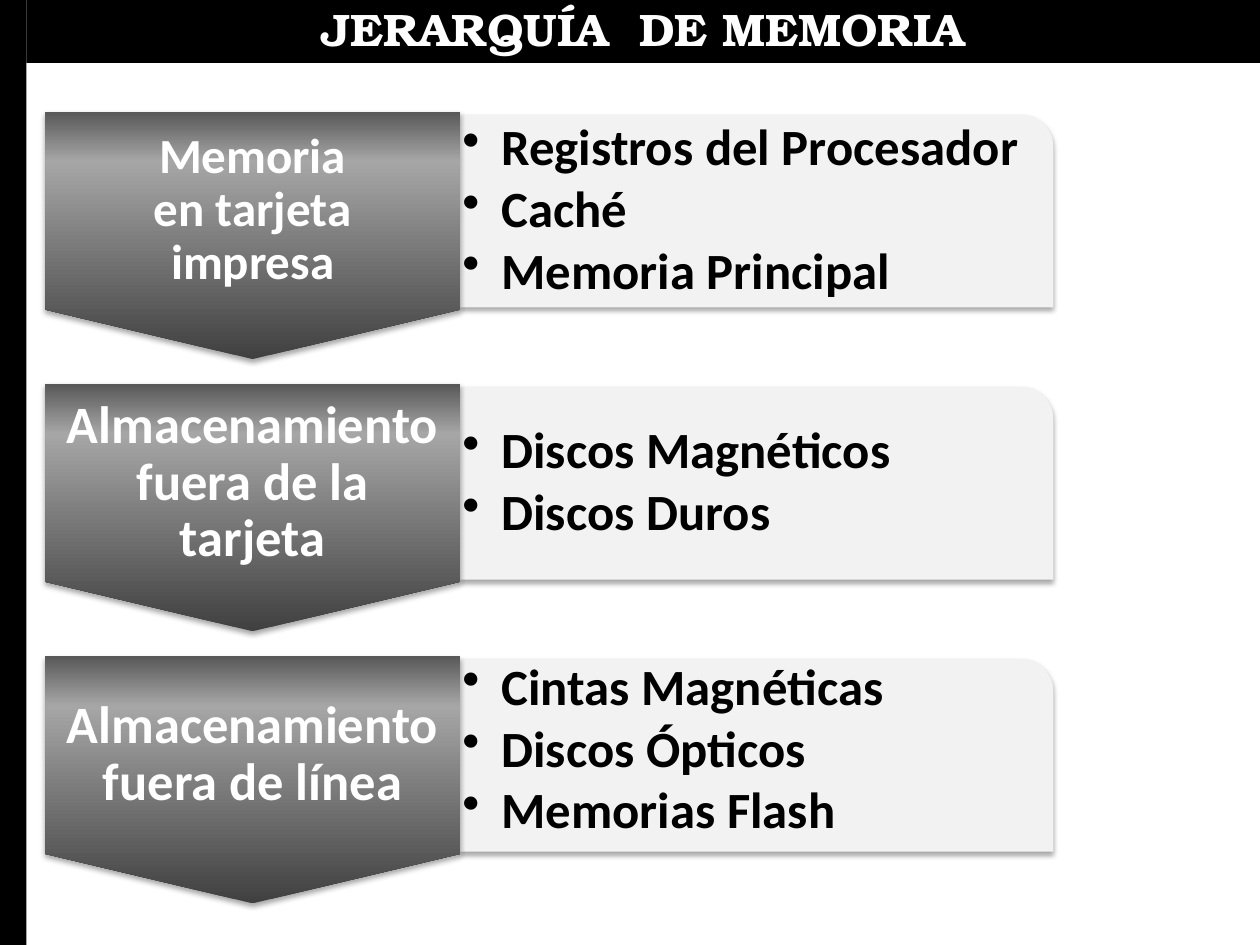
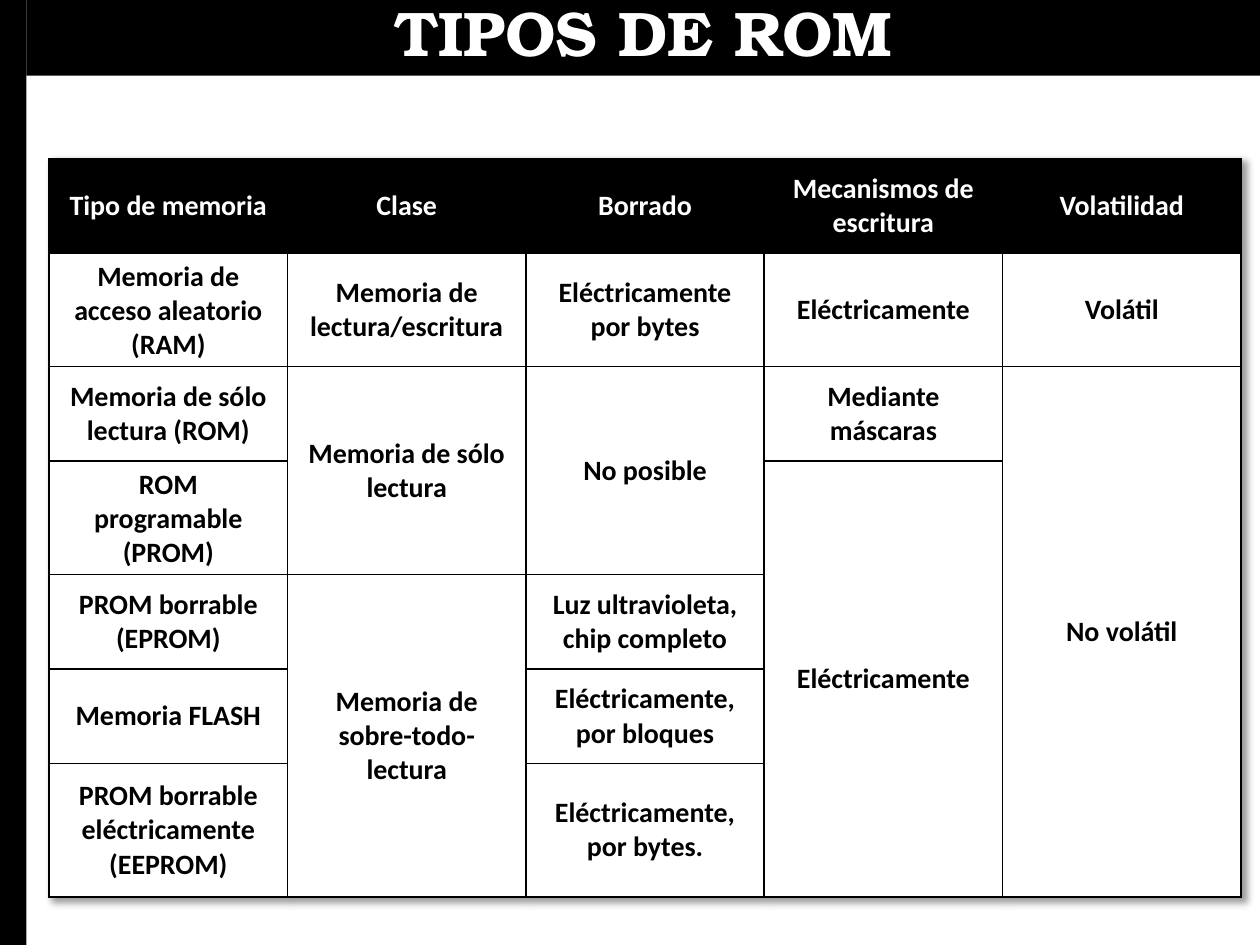
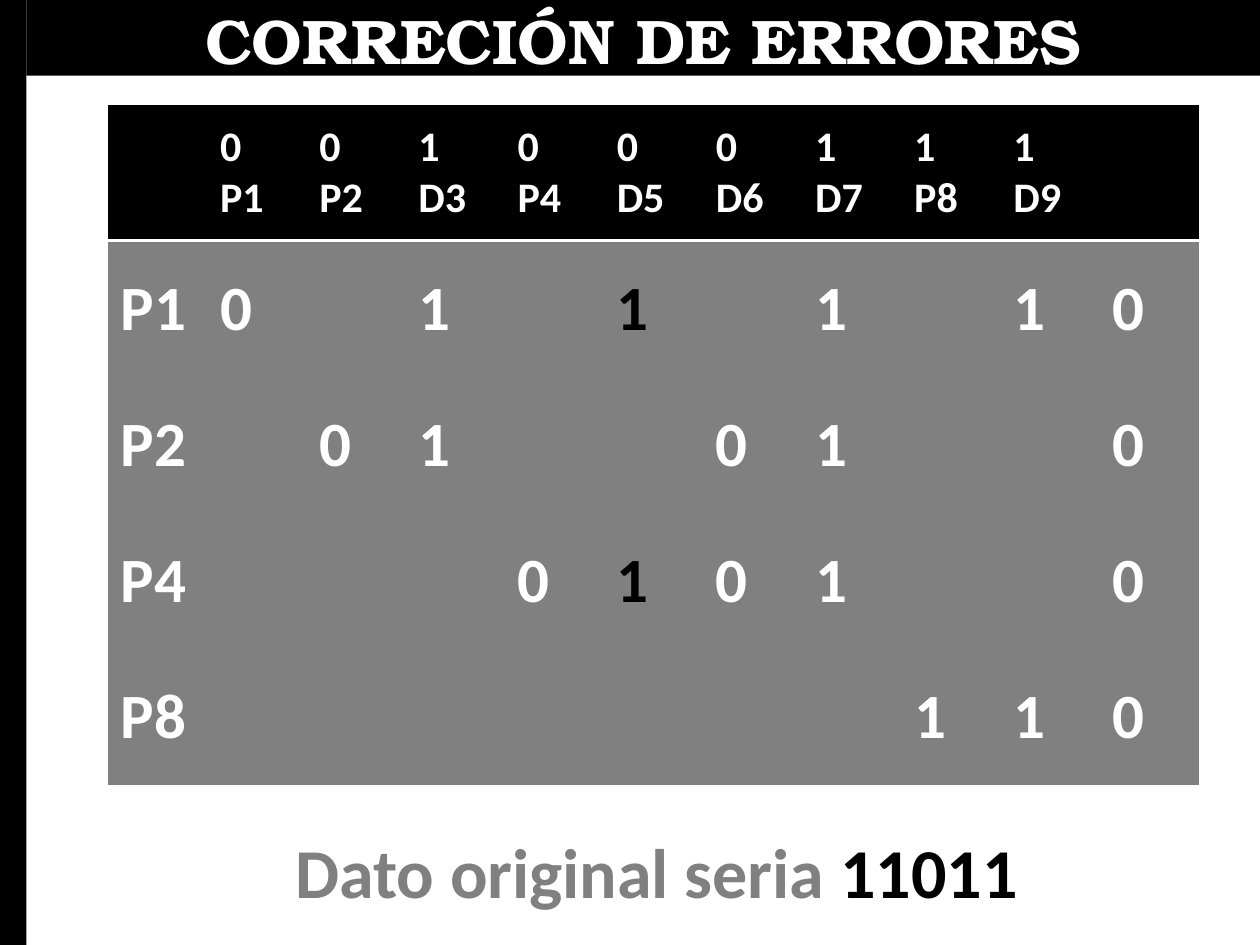
from copy import deepcopy

from pptx import Presentation
from pptx.dml.color import RGBColor
from pptx.enum.shapes import MSO_SHAPE
from pptx.enum.text import MSO_ANCHOR, MSO_AUTO_SIZE, PP_ALIGN
from pptx.oxml import parse_xml
from pptx.oxml.ns import nsdecls, qn
from pptx.util import Inches, Pt

BLACK, WHITE, GRAY, PALE = "000000", "FFFFFF", "808080", "F2F2F2"
METAL = [(0, "404040"), (0.8, "A6A6A6"), (1, "595959")]
TITLE_FONT, BODY_FONT = "TeX Gyre Bonum", "Calibri"
NO_STYLE = "{2D5ABB26-0587-4C30-8999-92F81FD0307C}"
SIDE = 0.21

# Content: label lines, label size, items, vertical anchor of the items
LEVELS = [
    (["Memoria", "en tarjeta", "impresa"], 28,
     ["Registros del Procesador", "Caché", "Memoria Principal"], MSO_ANCHOR.MIDDLE),
    (["Almacenamiento fuera de la tarjeta"], 30,
     ["Discos Magnéticos", "Discos Duros"], MSO_ANCHOR.MIDDLE),
    (["Almacenamiento fuera de línea"], 30,
     ["Cintas Magnéticas", "Discos Ópticos", "Memorias Flash"], MSO_ANCHOR.TOP),
]

# None continues the cell above
MEMORY_TYPES = [
    ["Tipo de memoria", "Clase", "Borrado", "Mecanismos de escritura", "Volatilidad"],
    ["Memoria de acceso aleatorio (RAM)", "Memoria de lectura/escritura",
     "Eléctricamente por bytes", "Eléctricamente", "Volátil"],
    ["Memoria de sólo lectura (ROM)", "Memoria de sólo lectura", "No posible",
     "Mediante máscaras", "No volátil"],
    ["ROM programable (PROM)", None, None, "Eléctricamente", None],
    ["PROM borrable (EPROM)", "Memoria de sobre-todo-lectura",
     "Luz ultravioleta, chip completo", None, None],
    ["Memoria FLASH", None, "Eléctricamente, por bloques", None, None],
    ["PROM borrable eléctricamente (EEPROM)", None, "Eléctricamente, por bytes.", None, None],
]

BIT_NAMES = ["P1", "P2", "D3", "P4", "D5", "D6", "D7", "P8", "D9"]
RECEIVED = "001000111"
CORRECTED_COL = 5
# Dots are empty cells; the last value is the check result
PARITY = {"P1": "0.1.1.1.10", "P2": ".01..01..0", "P4": "...0101..0", "P8": ".......110"}


def rgb(value):
    return RGBColor.from_string(value)


def add_run(p, text, size, color, font=BODY_FONT):
    r = p.add_run()
    r.text = text
    r.font.size, r.font.name, r.font.bold = Pt(size), font, True
    r.font.color.rgb = rgb(color)


def add_lines(tf, lines, size, color, align=PP_ALIGN.LEFT):
    for i, line in enumerate(lines):
        p = tf.add_paragraph() if i else tf.paragraphs[0]
        p.alignment = align
        add_run(p, line, size, color)


def effect(blur, dist, angle, alpha):
    return parse_xml(
        f'<a:effectLst {nsdecls("a")}><a:outerShdw blurRad="{Pt(blur)}" dist="{Pt(dist)}" '
        f'dir="{angle * 60000}" rotWithShape="0"><a:srgbClr val="{BLACK}">'
        f'<a:alpha val="{alpha * 1000}"/></a:srgbClr></a:outerShdw></a:effectLst>')


def add_box(s, kind, left, top, width, height, fill=None, shadow=False):
    sp = s.shapes.add_shape(kind, Inches(left), Inches(top), Inches(width), Inches(height))
    sp.line.fill.background()
    sp.shadow.inherit = False
    if fill:
        sp.fill.solid()
        sp.fill.fore_color.rgb = rgb(fill)
    if shadow:
        empty = sp._element.spPr.find(qn("a:effectLst"))
        empty.getparent().replace(empty, effect(3.1, 1.8, 90, 35))
    return sp


def fill_metal(sp):
    sp.fill.gradient()
    sp.fill.gradient_angle = 90
    stops = sp._element.spPr.find(".//" + qn("a:gsLst"))
    stops.append(deepcopy(stops[-1]))
    for stop, (position, color) in zip(sp.fill.gradient_stops, METAL):
        stop.position = position
        stop.color.rgb = rgb(color)


def set_frame(sp, x, y, anchor):
    tf = sp.text_frame
    tf.word_wrap = True
    tf.vertical_anchor = anchor
    tf.margin_left = tf.margin_right = Inches(x)
    tf.margin_top = tf.margin_bottom = Inches(y)
    return tf


def add_text(s, left, top, width, height, runs, size, font=BODY_FONT):
    tf = s.shapes.add_textbox(Inches(left), Inches(top), Inches(width), Inches(height)).text_frame
    tf.word_wrap = True
    tf.auto_size = MSO_AUTO_SIZE.SHAPE_TO_FIT_TEXT
    p = tf.paragraphs[0]
    p.alignment = PP_ALIGN.CENTER
    for text, color in runs:
        add_run(p, text, size, color, font)


def new_slide(prs, title, band, title_top, size):
    """Blank slide with the top band, its title and the side band."""
    s = prs.slides.add_slide(prs.slide_layouts[6])
    add_box(s, MSO_SHAPE.RECTANGLE, SIDE, 0, 10 - SIDE, band, BLACK)
    add_text(s, SIDE, title_top, 10 - SIDE, size / 50, [(title, WHITE)], size, TITLE_FONT)
    add_box(s, MSO_SHAPE.RECTANGLE, 0, 0, SIDE, 7.5, BLACK)
    return s


def add_plain_table(s, left, top, width, heights, cols):
    frame = s.shapes.add_table(len(heights), cols, Inches(left), Inches(top),
                               Inches(width), Inches(sum(heights)))
    table = frame.table
    table.first_row = table.horz_banding = False
    table._tbl.tblPr.find(qn("a:tableStyleId")).text = NO_STYLE
    for row, height in zip(table.rows, heights):
        row.height = Inches(height)
    return table


def style_cell(cell, fill, sides="", color=BLACK, width=1):
    cell.vertical_anchor = MSO_ANCHOR.MIDDLE
    tcPr = cell._tc.get_or_add_tcPr()
    for side in sides:
        tcPr.append(parse_xml(
            f'<a:ln{side} {nsdecls("a")} w="{Pt(width)}"><a:solidFill>'
            f'<a:srgbClr val="{color}"/></a:solidFill></a:ln{side}>'))
    cell.fill.solid()
    cell.fill.fore_color.rgb = rgb(fill)


def build_hierarchy(prs):
    s = new_slide(prs, "JERARQUÍA  DE MEMORIA", 0.5, -0.04, 26)
    left, label_w, pitch = 0.36, 3.29, 2.16
    for i, (label, size, items, anchor) in enumerate(LEVELS):
        top = 0.89 + i * pitch
        # Card with the bulleted items
        card = add_box(s, MSO_SHAPE.ROUND_1_RECTANGLE, left + label_w, top + 0.02,
                       4.71, 1.53, PALE, shadow=True)
        tf = set_frame(card, 0.02, 0.02, anchor)
        add_lines(tf, items, 29, BLACK)
        for p in tf.paragraphs:
            p.line_spacing, p.space_after = 0.9, Pt(4)
            pPr = p._p.get_or_add_pPr()
            pPr.set("marL", str(Inches(0.31)))
            pPr.set("indent", str(-Inches(0.31)))
            pPr.append(parse_xml(f'<a:buChar {nsdecls("a")} char="•"/>'))
        # Pointed label
        tag = add_box(s, MSO_SHAPE.FLOWCHART_OFFPAGE_CONNECTOR, left, top,
                      label_w, 1.96, shadow=True)
        fill_metal(tag)
        tf = set_frame(tag, 0.12, 0.06, MSO_ANCHOR.MIDDLE)
        add_lines(tf, label, size, WHITE, PP_ALIGN.CENTER)
        for p in tf.paragraphs:
            p.line_spacing = 0.9


def build_rom_types(prs):
    s = new_slide(prs, "TIPOS DE ROM", 0.6, -0.1, 36)
    table = add_plain_table(s, 0.39, 1.26, 9.46, [0.75] * 6 + [1.06], 5)
    table._tbl.tblPr.insert(0, effect(4, 3, 45, 40))
    for i, row in enumerate(MEMORY_TYPES):
        for j, text in enumerate(row):
            cell = table.cell(i, j)
            style_cell(cell, WHITE if i else BLACK, "LRTB")
            if text:
                add_lines(cell.text_frame, [text], 16, BLACK if i else WHITE, PP_ALIGN.CENTER)
    # Merge each text with the continued cells below it
    for j, column in enumerate(zip(*MEMORY_TYPES)):
        starts = [i for i, text in enumerate(column) if text] + [len(column)]
        for first, following in zip(starts, starts[1:]):
            if following - first > 1:
                table.cell(first, j).merge(table.cell(following - 1, j))


def build_error_correction(prs):
    s = new_slide(prs, "CORRECIÓN DE ERRORES", 0.6, -0.04, 36)
    header = [[], *([bit, name] for bit, name in zip(RECEIVED, BIT_NAMES)), []]
    rows = [header] + [[[name], *([] if v == "." else [v] for v in values)]
                       for name, values in PARITY.items()]
    table = add_plain_table(s, 0.86, 0.83, 8.66, [1.08] * len(rows), len(header))
    for i, row in enumerate(rows):
        for j, lines in enumerate(row):
            cell = table.cell(i, j)
            if i:
                style_cell(cell, GRAY)
            else:
                style_cell(cell, BLACK, "B", WHITE, 2)
            color = BLACK if i and j == CORRECTED_COL else WHITE
            add_lines(cell.text_frame, lines, 36 if i else 24, color)
    add_text(s, 0.87, 6.53, 8.68, 0.77,
             [("Dato original seria ", GRAY), ("11011", BLACK)], 40)


def main():
    prs = Presentation()
    prs.slide_width, prs.slide_height = Inches(10), Inches(7.5)
    build_hierarchy(prs)
    build_rom_types(prs)
    build_error_correction(prs)
    prs.save("out.pptx")


if __name__ == "__main__":
    main()
